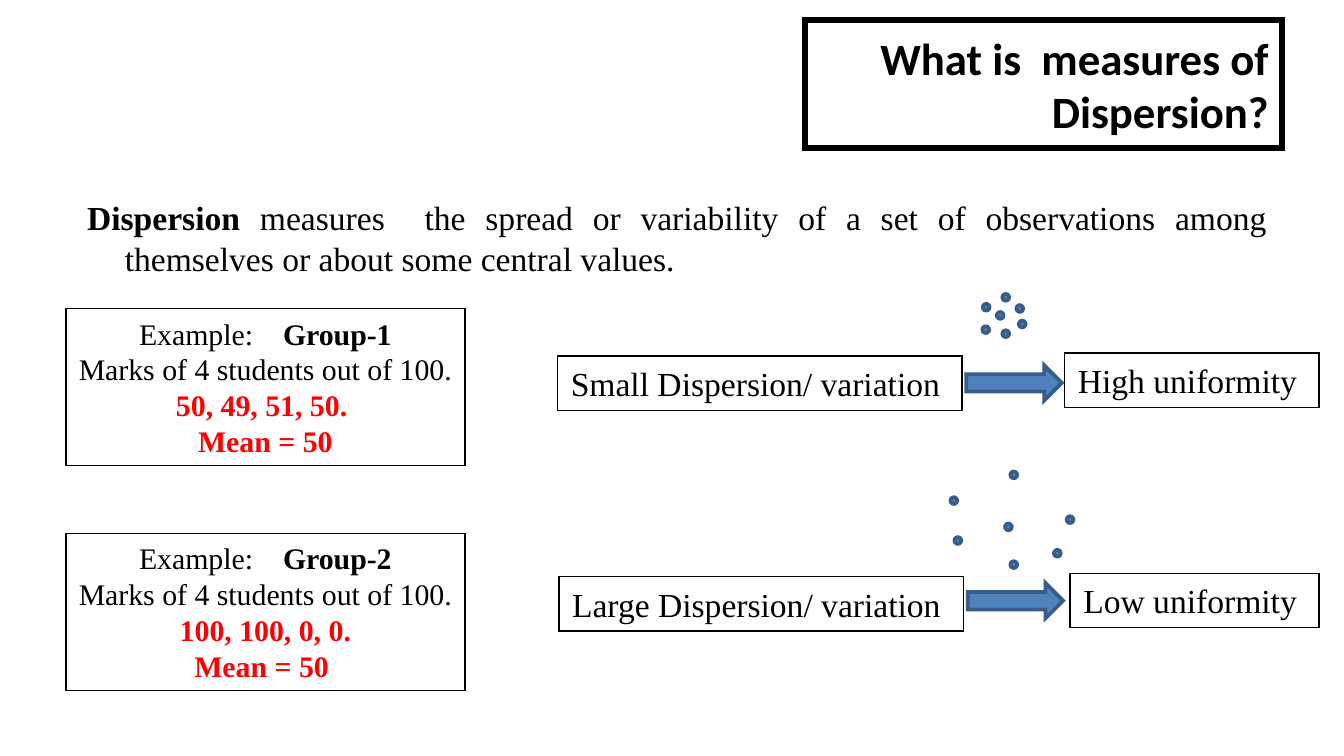
from lxml.etree import SubElement
from pptx import Presentation
from pptx.dml.color import RGBColor
from pptx.enum.shapes import MSO_SHAPE
from pptx.enum.text import MSO_ANCHOR, PP_ALIGN
from pptx.oxml.ns import qn
from pptx.util import Pt

COLORS = {"ink": "000000", "red": "FF0000", "fill": "4F81BD", "edge": "385D8A"}
SERIF = "Times New Roman"

TITLE = "What is  measures of Dispersion?"
MEANING = [
    ("Dispersion", {"bold": True}),
    (" measures  the spread or variability of a set of observations among "
     "themselves or about some central values.", {}),
]
# group name, marks, mean, top of box
GROUPS = [
    ("Group-1", "50, 49, 51, 50. ", "Mean = 50", 165.4),
    ("Group-2", "100, 100, 0, 0.", "Mean = 50 ", 285.7),
]
# cause box, arrow, effect box: each with its place (left, top, width, height)
LINKS = [
    ("Small Dispersion/ variation", (298.7, 190.8, 216.7, 29),
     (517.7, 195.8, 51.1, 18.7),
     "High uniformity", (570.4, 189.2, 136.3, 29)),
    ("Large Dispersion/ variation", (299.4, 309, 216.7, 29),
     (518.4, 312.5, 51.1, 18.7),
     "Low uniformity", (573.3, 307.3, 133.4, 29)),
]
DOT = 3.6
DOTS = [
    # close together
    (526.5, 162.8), (526.3, 174.8), (545.8, 171.8), (534, 167.2),
    (537, 177), (544.5, 163.5), (537, 157.5),
    # far apart
    (509.2, 266.4), (511.3, 287.8), (564.6, 294.6), (538.4, 280.5),
    (541.3, 300.7), (571.4, 276.6), (541.3, 252.6),
]


def tint(name):
    return RGBColor.from_string(COLORS[name])


def place(item, box):
    item.left, item.top, item.width, item.height = map(Pt, box)


def border(item, width, color="ink"):
    """Draw an outline with sharp corners."""
    item.line.color.rgb = tint(color)
    item.line.width = Pt(width)
    edge = item._element.spPr.find(qn("a:ln"))
    SubElement(edge, qn("a:miter")).set("lim", "800000")


def write(para, text, size=18, font=SERIF, color="ink", bold=False, gap=0):
    """Append one run; gap widens its letter spacing, in points."""
    run = para.add_run()
    run.text = text
    run.font.size, run.font.name, run.font.bold = Pt(size), font, bold
    run.font.color.rgb = tint(color)
    if gap:
        run.font._element.set("spc", str(gap * 100))


def text_box(slide, box, lines, align=PP_ALIGN.LEFT, inset=7.2, line=0.75):
    """Add a box whose lines are lists of (text, format) runs."""
    item = slide.shapes.add_textbox(*map(Pt, box))
    frame = item.text_frame
    frame.word_wrap = True
    frame.margin_left = frame.margin_right = Pt(inset)
    if line:
        border(item, line)
    for i, runs in enumerate(lines):
        para = frame.add_paragraph() if i else frame.paragraphs[0]
        para.alignment = align
        for text, form in runs:
            write(para, text, **form)
    return item


def solid(slide, kind, box):
    item = slide.shapes.add_shape(kind, *map(Pt, box))
    item.shadow.inherit = False
    item.fill.solid()
    item.fill.fore_color.rgb = tint("fill")
    border(item, 2, "edge")


def main():
    deck = Presentation()
    deck.slide_width, deck.slide_height = Pt(720), Pt(405)
    slide = deck.slides.add_slide(deck.slide_layouts[5])

    title = slide.shapes.title
    place(title, (431.3, 10.8, 255.6, 68.4))
    border(title, 3)
    title.text_frame.vertical_anchor = MSO_ANCHOR.MIDDLE
    head = title.text_frame.paragraphs[0]
    head.alignment = PP_ALIGN.RIGHT
    write(head, TITLE, size=24, font="Calibri", bold=True)

    meaning = text_box(slide, (31, 102.2, 655.2, 50.4), [MEANING],
                       align=PP_ALIGN.JUSTIFY, line=0)
    props = meaning.text_frame.paragraphs[0]._p.get_or_add_pPr()
    props.set("marL", str(Pt(28.8)))
    props.set("indent", str(-Pt(20.2)))

    plain = {"size": 16}
    strong = {"size": 16, "bold": True}
    result = {**strong, "color": "red"}
    for name, marks, mean, top in GROUPS:
        text_box(slide, (35.3, top, 213.8, 84.2), [
            [("Example:", plain), (" ", {**plain, "gap": 12}), (name, strong)],
            [("Marks of 4 students out of 100.", plain)],
            [(marks, result)],
            [(mean, result)],
        ], align=PP_ALIGN.CENTER, inset=3.6)

    for cause, start, arrow, effect, end in LINKS:
        text_box(slide, start, [[(cause, {})]])
        solid(slide, MSO_SHAPE.RIGHT_ARROW, arrow)
        text_box(slide, end, [[(effect, {})]])

    for left, top in DOTS:
        solid(slide, MSO_SHAPE.FLOWCHART_CONNECTOR, (left, top, DOT, DOT))

    deck.save("out.pptx")


if __name__ == "__main__":
    main()
